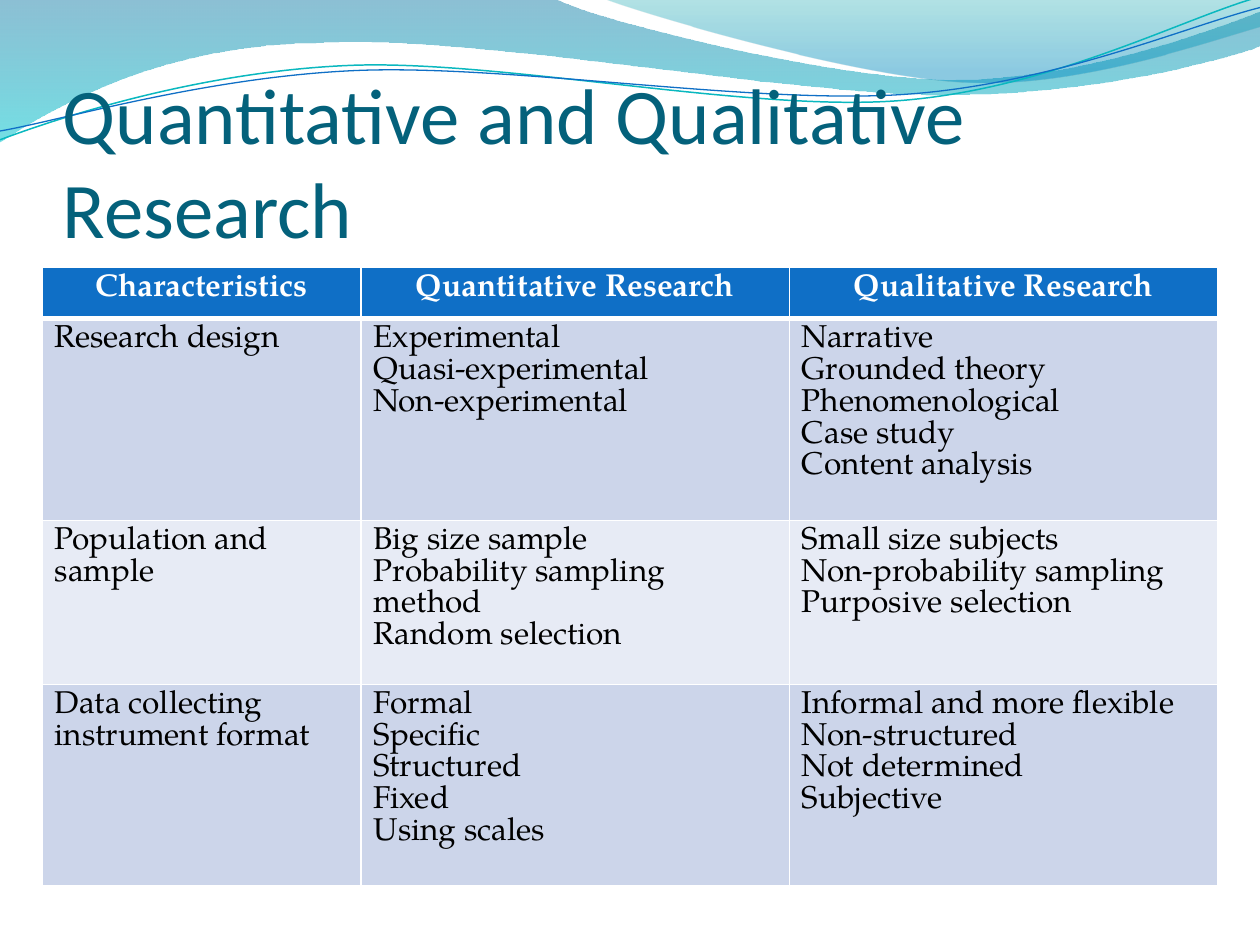
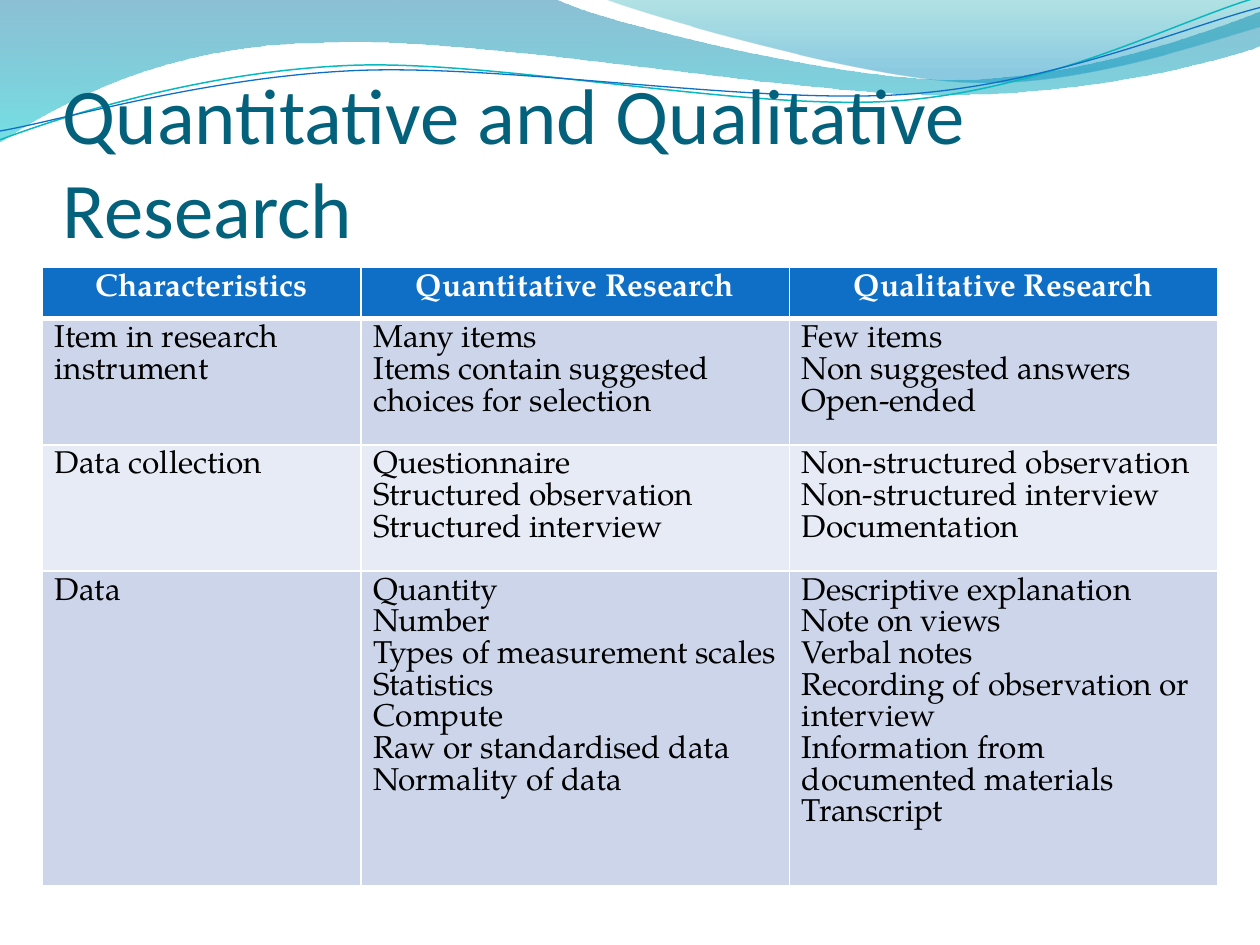
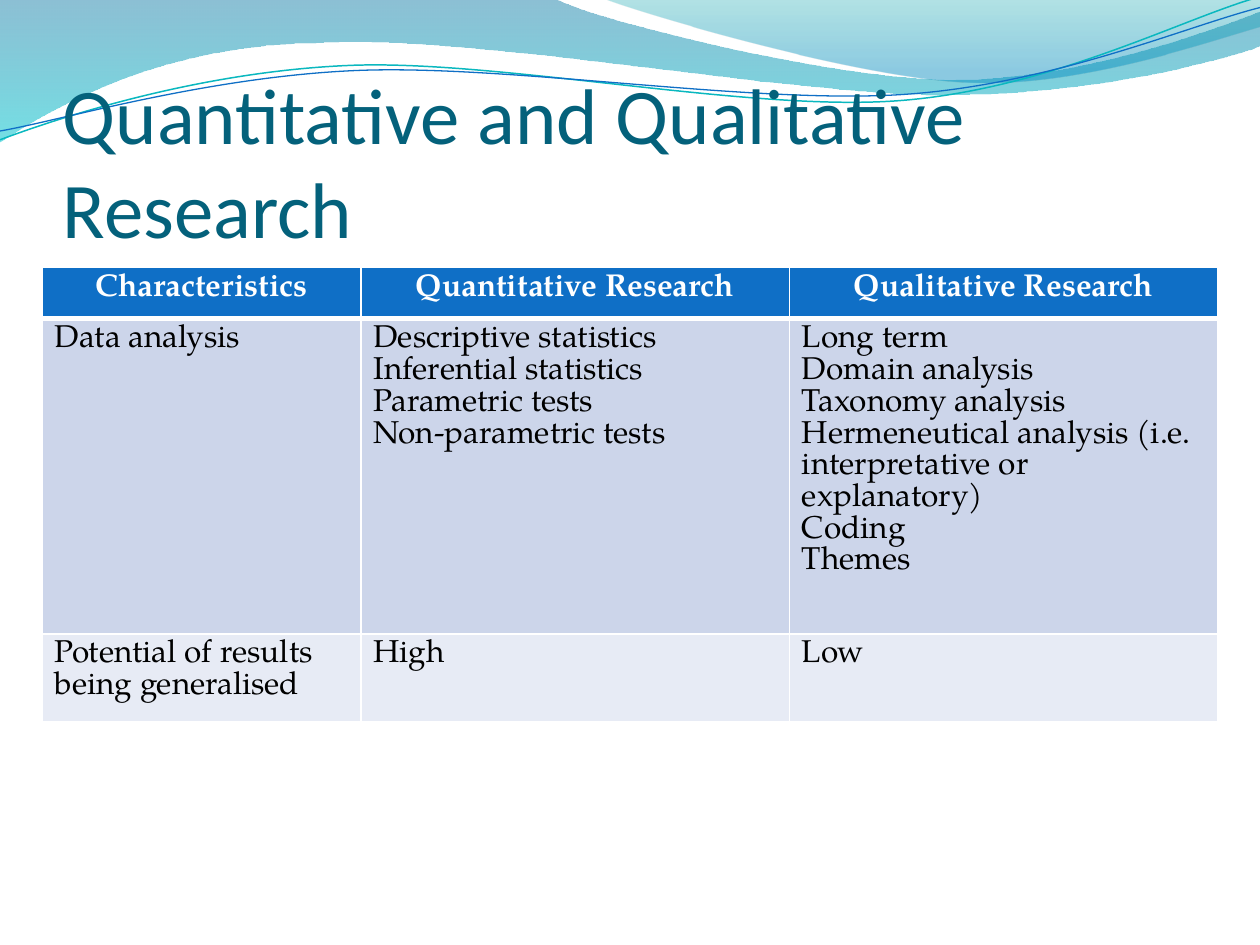
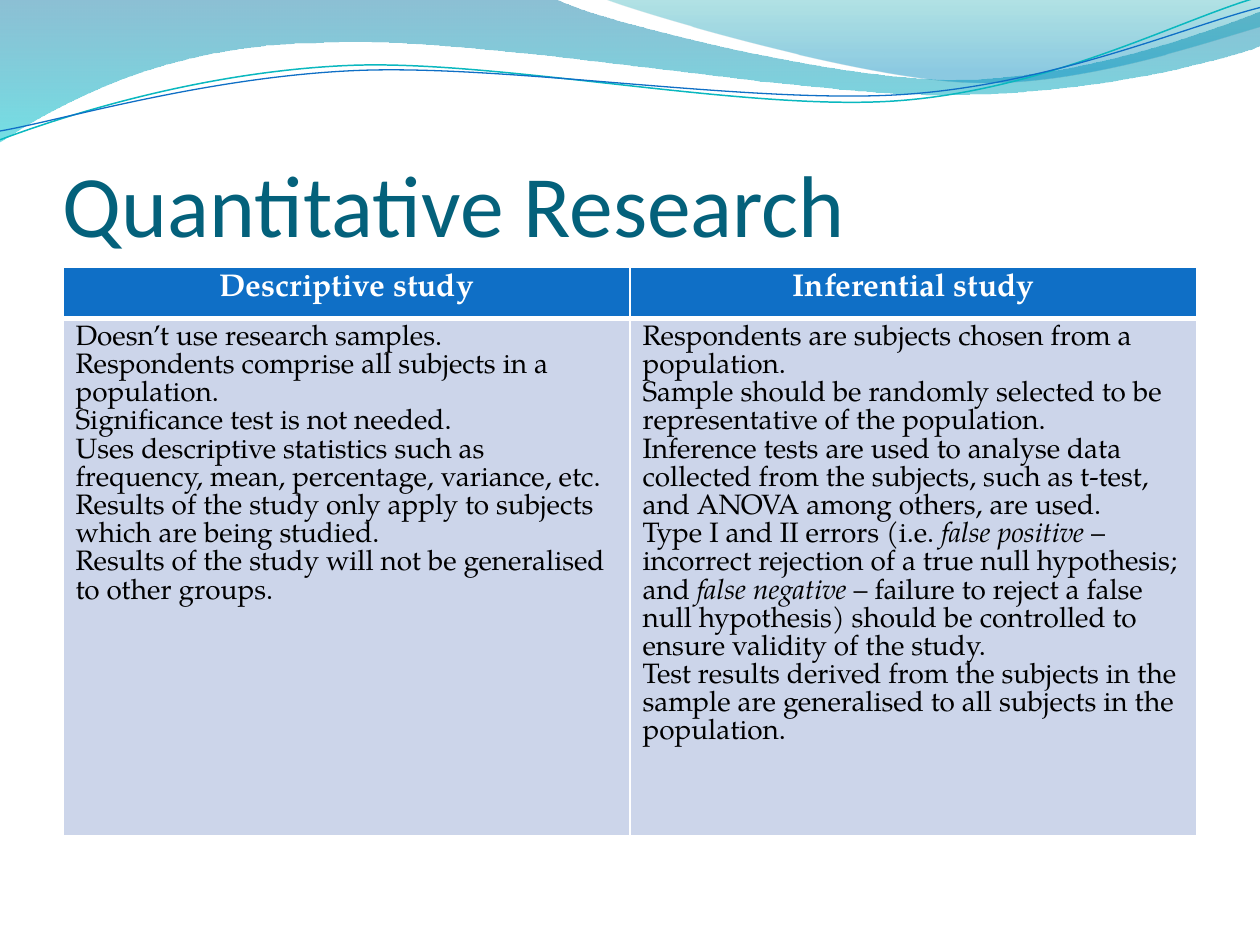
from lxml import etree
from pptx import Presentation
from pptx.dml.color import RGBColor
from pptx.enum.text import MSO_ANCHOR, PP_ALIGN
from pptx.oxml.ns import qn
from pptx.util import Inches, Pt

BOTTOM = MSO_ANCHOR.BOTTOM
CENTER, LEFT = PP_ALIGN.CENTER, PP_ALIGN.LEFT

# Shared style
TITLE_FONT, TABLE_FONT = "Calibri", "TeX Gyre Pagella"
TITLE_COLOR, HEADER_FILL = "04617B", "0F6FC6"
BAND_FILLS = ["CCD5EA", "E7EBF5"]
WHITE, BLACK = "FFFFFF", "000000"

# Wave outlines: a pair is a straight step, six numbers are a cubic curve
WIDE_WAVE = [
    (0, -0.01), (4.4, -0.01),
    (4.76, 0.17, 6.64, 0.63, 7.58, 0.63), (8.53, 0.63, 9.58, 0.26, 10, 0.09),
    (10.01, 0.36),
    (9.83, 0.44, 8.7, 0.76, 7.46, 0.75), (6.22, 0.75, 3.82, 0.28, 2.57, 0.34),
    (1.29, 0.35, 0.46, 0.83, -0.01, 1.13), (0, -0.01),
]
RIGHT_WAVE = [
    (4.79, -0.01),
    (5.09, 0.11, 6.82, 0.62, 7.69, 0.65), (8.56, 0.69, 9.61, 0.32, 10, 0.21),
    (10, 0), (4.79, -0.01),
]
TEAL_LINE = [
    (0, 1.11), (0.48, 0.93, 1.58, 0.57, 2.77, 0.52),
    (3.95, 0.47, 5.93, 0.89, 7.13, 0.8), (8.33, 0.71, 9.38, 0.15, 9.98, -0.02),
]
BLUE_LINE = [
    (0, 1.04), (0.47, 0.96, 1.64, 0.61, 2.83, 0.56),
    (4.03, 0.51, 5.97, 0.83, 7.17, 0.75), (8.36, 0.67, 9.41, 0.21, 10, 0.06),
]

# Slide content: a cell is a list of paragraphs, asterisks enclose italics
COMPARISON_TITLE = "Quantitative and Qualitative Research"
COMPARISON_HEADER = ["Characteristics", "Quantitative Research", "Qualitative Research"]
DESIGN_ROWS = [
    [["Research design"],
     ["Experimental", "Quasi-experimental", "Non-experimental"],
     ["Narrative", "Grounded theory", "Phenomenological", "Case study",
      "Content analysis"]],
    [["Population and sample"],
     ["Big size sample", "Probability sampling method", "Random selection"],
     ["Small size subjects", "Non-probability sampling", "Purposive selection"]],
    [["Data collecting instrument format"],
     ["Formal", "Specific", "Structured", "Fixed", "Using scales"],
     ["Informal and more flexible", "Non-structured", "Not determined", "Subjective"]],
]
DATA_ROWS = [
    [["Item in research instrument"],
     ["Many items", "Items contain suggested choices for selection"],
     ["Few items", "Non suggested answers", "Open-ended"]],
    [["Data collection"],
     ["Questionnaire", "Structured observation", "Structured interview"],
     ["Non-structured observation", "Non-structured interview", "Documentation"]],
    [["Data"],
     ["Quantity", "Number", "Types of measurement scales", "Statistics", "Compute",
      "Raw or standardised data", "Normality of data"],
     ["Descriptive explanation", "Note on views", "Verbal notes",
      "Recording of observation or interview",
      "Information from documented materials", "Transcript"]],
]
ANALYSIS_ROWS = [
    [["Data analysis"],
     ["Descriptive statistics", "Inferential statistics", "Parametric tests",
      "Non-parametric tests"],
     ["Long term", "Domain analysis", "Taxonomy analysis",
      "Hermeneutical analysis (i.e. interpretative or explanatory)", "Coding",
      "Themes"]],
    [["Potential of results being generalised"], ["High"], ["Low"]],
]
STUDY_HEADER = ["Descriptive study", "Inferential study"]
STUDY_ROWS = [
    [["Doesn’t use research samples.",
      "Respondents comprise all subjects in a population.",
      "Significance test is not needed.",
      "Uses descriptive statistics such as frequency, mean, percentage, variance, etc.",
      "Results of the study only apply to subjects which are being studied.",
      "Results of the study will not be generalised to other groups."],
     ["Respondents are subjects chosen from a population.",
      "Sample should be randomly selected to be representative of the population.",
      "Inference tests are used to analyse data collected from the subjects, "
      "such as t-test, and ANOVA among others, are used.",
      "Type I and II errors (i.e. *false positive *– incorrect rejection of a true "
      "null hypothesis; and *false negative *– failure to reject a false null "
      "hypothesis) should be controlled to ensure validity of the study.",
      "Test results derived from the subjects in the sample are generalised to all "
      "subjects in the population."]],
]


def rgb(color):
    return RGBColor.from_string(color)


# Background waves
def add_outline(slide, outline, close):
    """Add a freeform and join each curve's three points into one cubic step."""
    points = [(Inches(step[i]), Inches(step[i + 1]))
              for step in outline for i in range(0, len(step), 2)]
    builder = slide.shapes.build_freeform(*points[0])
    builder.add_line_segments(points[1:], close=close)
    shape = builder.convert_to_shape()
    shape.shadow.inherit = False
    segments = iter(list(shape.element.iter(qn("a:lnTo"))))
    for step in outline[1:]:
        segment = next(segments)
        if len(step) == 6:
            curve = etree.Element(qn("a:cubicBezTo"))
            segment.addprevious(curve)
            for part in (segment, next(segments), next(segments)):
                curve.append(part[0])
                part.getparent().remove(part)
    return shape


def add_wave(slide, outline, stops):
    """Add a wave with a downward gradient; stops are (position, colour, opacity)."""
    shape = add_outline(slide, outline, True)
    shape.fill.gradient()
    shape.fill.gradient_angle = 270
    for stop, (position, color, _) in zip(shape.fill.gradient_stops, stops):
        stop.position = position
        stop.color.rgb = rgb(color)
    for element, (_, _, opacity) in zip(shape.element.iter(qn("a:srgbClr")), stops):
        etree.SubElement(element, qn("a:alpha"), val=str(opacity * 1000))
    shape.line.fill.background()
    return shape


def add_wave_line(slide, outline, color, width):
    shape = add_outline(slide, outline, False)
    shape.fill.background()
    shape.line.color.rgb = rgb(color)
    shape.line.width = Pt(width)
    return shape


def decorate_layout(layout, slide):
    """Draw the waves on a slide and move them to its layout."""
    for placeholder in list(layout.placeholders):
        layout.shapes.element.remove(placeholder.element)
    waves = [
        add_wave(slide, WIDE_WAVE, [(0, "0074A1", 45), (1, "00C6CF", 55)]),
        add_wave(slide, RIGHT_WAVE, [(0, "00A1A9", 30), (0.8, "008BBF", 45)]),
        add_wave_line(slide, TEAL_LINE, "0AB8BF", 0.85),
        add_wave_line(slide, BLUE_LINE, "0F6FC6", 0.75),
    ]
    for wave in waves:
        layout.shapes.element.append(wave.element)


# Title and table
def add_title(slide, text, size):
    box = slide.shapes.add_textbox(Inches(0.5), Inches(0.77), Inches(9), Inches(1.25))
    frame = box.text_frame
    frame.word_wrap = True
    frame.vertical_anchor = BOTTOM
    frame.margin_left = frame.margin_right = frame.margin_bottom = 0
    frame.margin_top = Inches(0.05)
    paragraph = frame.paragraphs[0]
    paragraph.text = text
    paragraph.font.name = TITLE_FONT
    paragraph.font.size = Pt(size)
    paragraph.font.color.rgb = rgb(TITLE_COLOR)


def set_borders(cell, bottom):
    properties = cell._tc.get_or_add_tcPr()
    widths = {"a:lnL": 1, "a:lnR": 1, "a:lnT": 1, "a:lnB": bottom}
    for index, (tag, width) in enumerate(widths.items()):
        line = etree.Element(qn(tag), w=str(Pt(width)))
        fill = etree.SubElement(line, qn("a:solidFill"))
        etree.SubElement(fill, qn("a:srgbClr"), val=WHITE)
        properties.insert(index, line)


def fill_cell(cell, paragraphs, size, fill, header=False):
    set_borders(cell, 3 if header else 1)
    cell.fill.solid()
    cell.fill.fore_color.rgb = rgb(fill)
    frame = cell.text_frame
    for index, text in enumerate(paragraphs):
        paragraph = frame.add_paragraph() if index else frame.paragraphs[0]
        paragraph.alignment = CENTER if header else LEFT
        # Row heights are measured from the fonts of the runs
        for part, words in enumerate(text.split("*")):
            run = paragraph.add_run()
            run.text = words
            font = run.font
            font.name = TABLE_FONT
            font.size = Pt(size)
            font.bold = header
            font.italic = part % 2 == 1
            font.color.rgb = rgb(WHITE if header else BLACK)


def add_table(slide, header, rows, widths, heights, size, total_height):
    """Add a table centred on the slide, with its header row on top."""
    heights = [0.41] + heights
    total_width = sum(widths)
    frame = slide.shapes.add_table(
        len(heights), len(widths), Inches((10 - total_width) / 2), Inches(2.12),
        Inches(total_width), Inches(total_height))
    table = frame.table
    table.horz_banding = False
    for column, width in zip(table.columns, widths):
        column.width = Inches(width)
    for row, height in zip(table.rows, heights):
        row.height = Inches(height)
    frame.height = Inches(total_height)
    for column, text in enumerate(header):
        fill_cell(table.cell(0, column), [text], 18, HEADER_FILL, header=True)
    for index, row in enumerate(rows):
        for column, paragraphs in enumerate(row):
            fill_cell(table.cell(index + 1, column), paragraphs, size,
                      BAND_FILLS[index % 2])


def main():
    presentation = Presentation()
    presentation.slide_width, presentation.slide_height = Inches(10), Inches(7.5)
    blank = presentation.slide_layouts[6]

    comparison = (COMPARISON_TITLE, 45, COMPARISON_HEADER, [2.53, 3.4, 3.4], 18)
    study = ("Quantitative Research", 50, STUDY_HEADER, [4.5, 4.5], 16)
    pages = [
        (comparison, DESIGN_ROWS, [1.6, 1, 1.6], 4.61),
        (comparison, DATA_ROWS, [1, 1, 2.5], 4.91),
        (comparison, ANALYSIS_ROWS, [0.41, 0.41], 3.31),
        (study, STUDY_ROWS, [4.1], 4.51),
    ]
    for number, (kind, rows, heights, total_height) in enumerate(pages):
        title, title_size, header, widths, size = kind
        slide = presentation.slides.add_slide(blank)
        if number == 0:
            decorate_layout(blank, slide)
        add_title(slide, title, title_size)
        add_table(slide, header, rows, widths, heights, size, total_height)

    presentation.save("out.pptx")


if __name__ == "__main__":
    main()
